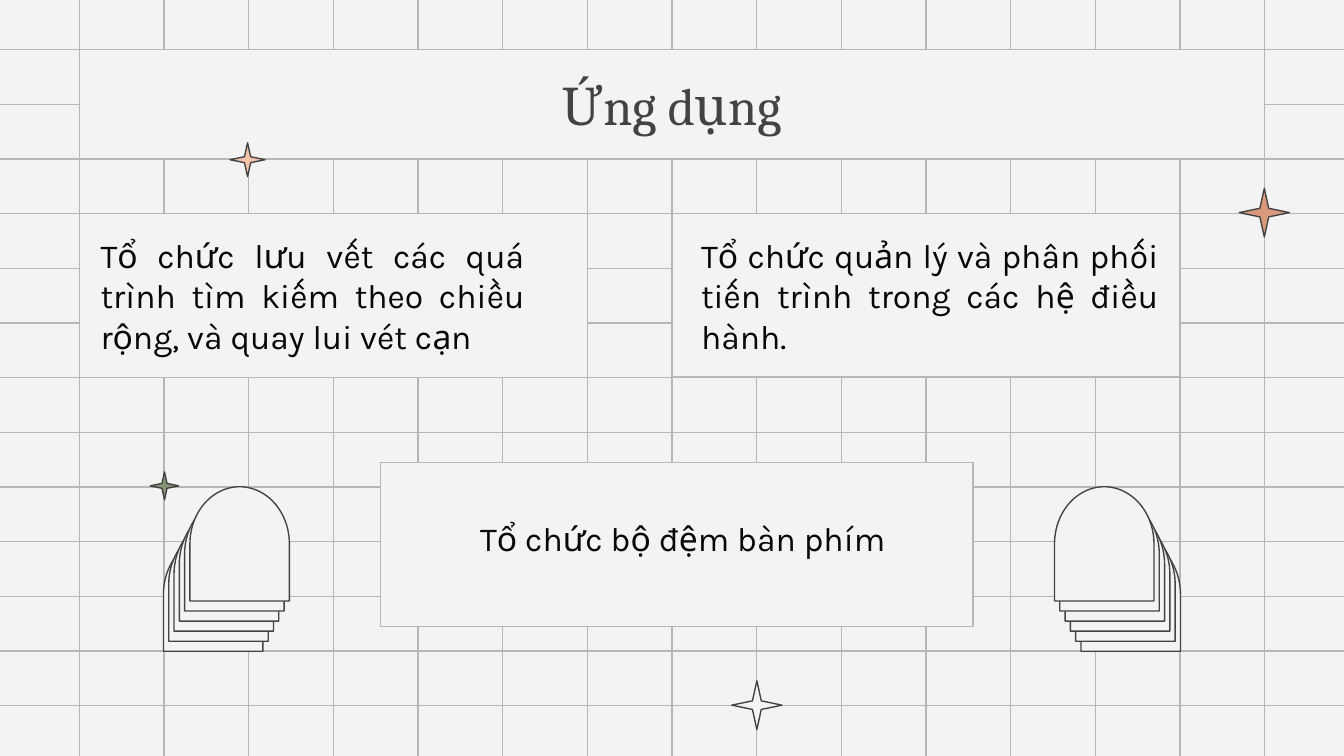
"""Build the "Ứng dụng" slide: three application cards on a ruled grid."""
import lxml.etree
import pptx
import pptx.dml.color
import pptx.enum.shapes
import pptx.enum.text
import pptx.oxml.ns
import pptx.util

Cm = pptx.util.Cm
Pt = pptx.util.Pt
RGBColor = pptx.dml.color.RGBColor
Shape = pptx.enum.shapes.MSO_SHAPE
Align = pptx.enum.text.PP_ALIGN
Anchor = pptx.enum.text.MSO_ANCHOR

PAPER = RGBColor(0xF3, 0xF3, 0xF3)
GRID = RGBColor(0xB7, 0xB7, 0xB7)
INK = RGBColor(0x43, 0x43, 0x43)
BODY = RGBColor(0x08, 0x08, 0x08)
PEACH = RGBColor(0xF2, 0xC2, 0xAB)
CLAY = RGBColor(0xD9, 0x99, 0x7D)
SAGE = RGBColor(0x85, 0x94, 0x77)

WIDTH, HEIGHT = 25.4, 14.29
COLUMN, ROW = 1.6, 12.4 / 12
BLEED = 0.1

deck = pptx.Presentation()
deck.slide_width, deck.slide_height = Cm(WIDTH), Cm(HEIGHT)
slide = deck.slides.add_slide(deck.slide_layouts.get_by_name("Comparison"))
slide.background.fill.solid()
slide.background.fill.fore_color.rgb = PAPER
shapes = slide.shapes


def add_outlined(kind, left, top, width, height, fill, line):
    shape = shapes.add_shape(kind, Cm(left), Cm(top), Cm(width), Cm(height))
    shape.shadow.inherit = False
    shape.fill.solid()
    shape.fill.fore_color.rgb = fill
    shape.line.color.rgb = line
    shape.line.width = Pt(0.75)
    return shape


def format_text(holder, box, text, font, size, color, align, anchor):
    holder.left, holder.top, holder.width, holder.height = map(Cm, box)
    shapes.element.append(holder.element)
    frame = holder.text_frame
    frame.text = text
    frame.word_wrap = True
    frame.auto_size = pptx.enum.text.MSO_AUTO_SIZE.NONE
    frame.vertical_anchor = anchor
    frame.margin_left = frame.margin_right = Cm(0.25)
    frame.margin_top = frame.margin_bottom = Cm(0.25)
    paragraph = frame.paragraphs[0]
    paragraph.alignment = align
    paragraph.line_spacing = 1.0
    paragraph.space_before = Pt(0)
    properties = paragraph._p.get_or_add_pPr()
    properties.set("marL", "0")
    properties.set("indent", "0")
    lxml.etree.SubElement(properties, pptx.oxml.ns.qn("a:buNone"))
    run = paragraph.runs[0]
    run.font.name = font
    run.font.size = Pt(size)
    run.font.bold = False
    run.font.color.rgb = color


columns = [1.5 + COLUMN * i for i in range(15)]
rows = [0.94 + ROW * i for i in range(13)]
grid_lines = [(x, -BLEED, x, HEIGHT + BLEED) for x in columns]
grid_lines += [(-BLEED, y, WIDTH + BLEED, y) for y in rows]
for ends in grid_lines:
    rule = shapes.add_connector(pptx.enum.shapes.MSO_CONNECTOR.STRAIGHT, *map(Cm, ends))
    rule.line.color.rgb = GRID
    rule.line.width = Pt(0.75)
    lxml.etree.SubElement(rule.element.spPr, pptx.oxml.ns.qn("a:effectLst"))

for left, top, width, height in [
    (12.7, 4.04, 9.6, 3.08),
    (7.19, 8.74, 11.2, 3.1),
    (1.5, 4.04, 9.6, 3.1),
]:
    add_outlined(Shape.RECTANGLE, left, top, width, height, PAPER, GRID)

title = shapes.title
format_text(title, (1.5, 0.94, 22.4, 2.06), "Ứng dụng", "Cambria", 28, INK,
            Align.CENTER, Anchor.MIDDLE)
title.fill.solid()
title.fill.fore_color.rgb = PAPER
title.line.color.rgb = GRID
title.line.width = Pt(0.75)

applications = [
    ((1.65, 4.19, 8.51, 2.77), Align.JUSTIFY, Anchor.TOP,
     "Tổ chức lưu vết các quá trình tìm kiếm theo chiều rộng, và quay lui vét cạn"),
    ((13, 4.19, 9.14, 2.77), Align.JUSTIFY, Anchor.TOP,
     "Tổ chức quản lý và phân phối tiến trình trong các hệ điều hành."),
    ((7.7, 8.78, 10.41, 2.77), Align.CENTER, Anchor.MIDDLE,
     "Tổ chức bộ đệm bàn phím"),
]
*bodies, spare = list(slide.placeholders)[1:]
shapes.element.remove(spare.element)
for body, (box, align, anchor, text) in zip(bodies, applications):
    format_text(body, box, text, "Karla", 18, BODY, align, anchor)

for first_left, shift in [(20.29, -0.1), (2.95, 0.1)]:
    for i in range(6):
        arch = add_outlined(Shape.FLOWCHART_DELAY, first_left + shift * i,
                            10.29 - 0.19 * i, 2.16, 1.88, PAPER, INK)
        arch.rotation = 270

for left, top, width, height, color in [
    (13.83, 12.87, 0.95, 0.92, PAPER),
    (4.35, 2.7, 0.66, 0.64, PEACH),
    (23.42, 3.56, 0.95, 0.92, CLAY),
    (2.84, 8.92, 0.54, 0.53, SAGE),
]:
    star = add_outlined(Shape.STAR_4_POINT, left, top, width, height, color, INK)
    star.adjustments[0] = 0.125

deck.save("out.pptx")
